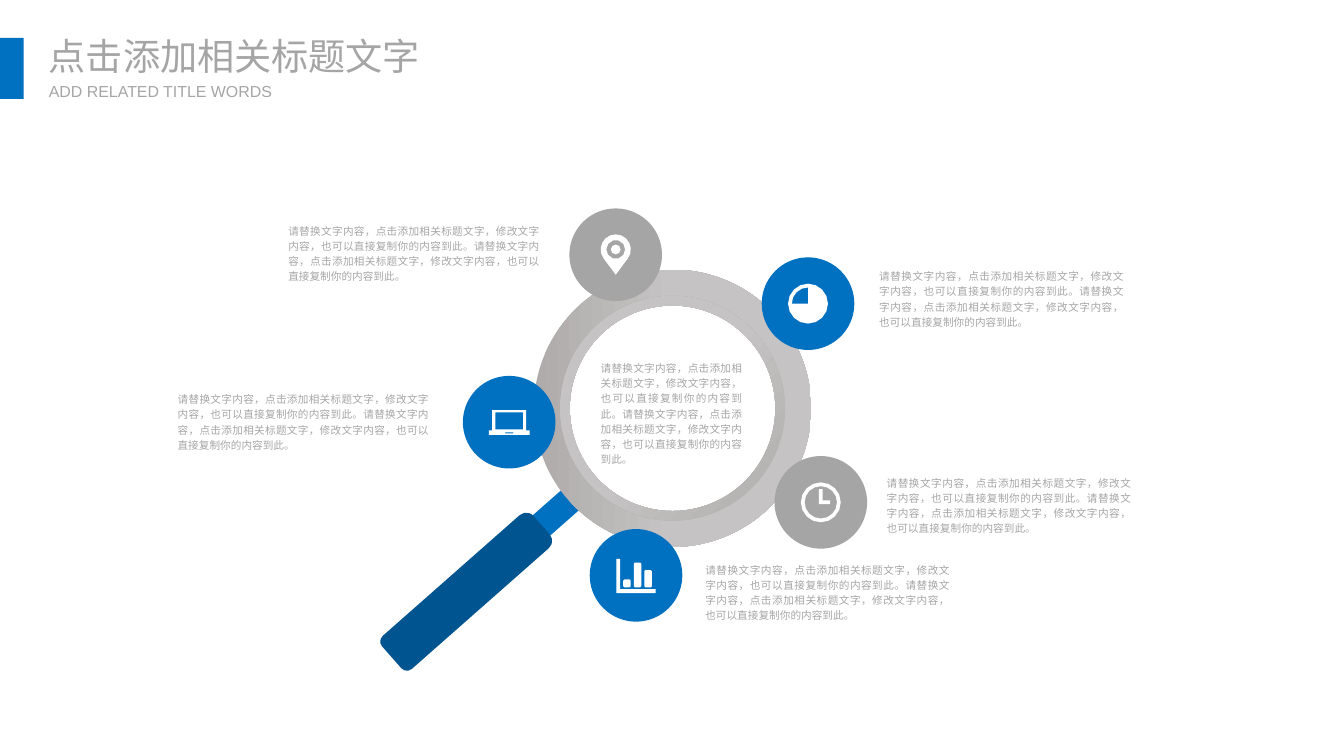
import math
import pptx
import pptx.util
import pptx.dml.color
import pptx.enum.shapes
import pptx.enum.text

Cm = pptx.util.Cm
SHAPE = pptx.enum.shapes.MSO_SHAPE
ALIGN = pptx.enum.text.PP_ALIGN

BLUE, NAVY, GRAY, BODY_GRAY, WHITE = "0070C0", "005490", "A5A5A5", "A6A6A6", "FFFFFF"
RING_DARK, RING_LIGHT = "AFABAB", "C5C3C3"
FONT = "Arial"

HEADINGS = [
    ("点击添加相关标题文字", 28, (1.05, 0.76, 10.52, 1.47)),
    ("ADD RELATED TITLE WORDS", 12, (1.05, 2.05, 6.53, 0.79)),
]
SENTENCE = "请替换文字内容，点击添加相关标题文字，修改文字内容，也可以直接复制你的内容到此。"
DETAIL = SENTENCE * 2

LENS_CENTER = (17.87, 10.85)
RINGS = [(6.38, 0.072, 140), (7.37, 0.093, 0)]
LENS_TEXT = (15.96, 9.55, 3.76, 2.46)
BADGE_SIZE = 2.46


def arc(radius, start=0, end=360, center=(0, 0), step=22.5):
    steps = math.ceil((end - start) / step)
    angles = [math.radians(start + (end - start) * i / steps) for i in range(steps + 1)]
    return [(center[0] + radius * math.cos(a), center[1] + radius * math.sin(a)) for a in angles]


def box(left, top, right, bottom):
    return [(left, top), (right, top), (right, bottom), (left, bottom)]


def softened(corners, cut=0.03):
    outline = []
    for i, corner in enumerate(corners):
        for other in (corners[i - 1], corners[(i + 1) % len(corners)]):
            share = cut / math.dist(corner, other)
            outline.append(tuple(c + (o - c) * share for c, o in zip(corner, other)))
    return outline


PIN_HEAD = (0, -0.14)
AXES = [(-0.52, -0.44), (-0.42, -0.44), (-0.42, 0.37), (0.52, 0.37), (0.52, 0.47), (-0.52, 0.47)]
BAR_TOPS = [0.11, -0.34, -0.14]
HANDS = [(-0.05, -0.35), (0.05, -0.35), (0.05, -0.05), (0.25, -0.05), (0.25, 0.05), (-0.05, 0.05)]
LAPTOP = [(-0.54, 0.22), (-0.45, 0.22), (-0.45, -0.32), (0.45, -0.32),
          (0.45, 0.22), (0.54, 0.22), (0.54, 0.34), (-0.54, 0.34)]

ICONS = {
    "bars": [AXES] + [
        softened(box(-0.34 + 0.28 * i, top, -0.14 + 0.28 * i, 0.32))
        for i, top in enumerate(BAR_TOPS)],
    "pie": [arc(0.53), [(0, 0)] + arc(0.43, 180, 270)],
    "clock": [arc(0.53), arc(0.43), HANDS],
    "pin": [[(0, 0.53)] + arc(0.4, 143, 397, PIN_HEAD),
            arc(0.25, center=PIN_HEAD, step=36), arc(0.13, center=PIN_HEAD, step=45)],
    "laptop": [LAPTOP, box(-0.37, -0.26, 0.37, 0.19), box(-0.11, 0.27, 0.11, 0.3)],
}

BADGES = [
    ("bars", BLUE, (16.9, 15.29), (18.74, 14.91, 6.5, 1.65)),
    ("pie", BLUE, (21.47, 8.07), (23.36, 7.11, 6.5, 1.65)),
    ("clock", GRAY, (21.81, 13.35), (23.56, 12.6, 6.5, 1.65)),
    ("pin", GRAY, (16.36, 6.77), (7.66, 5.9, 6.68, 1.65)),
    ("laptop", BLUE, (13.53, 11.22), (4.72, 10.38, 6.68, 1.65)),
]


def rgb(color):
    return pptx.dml.color.RGBColor.from_string(color)


def paint(shape, color):
    shape.shadow.inherit = False
    shape.fill.solid()
    shape.fill.fore_color.rgb = rgb(color)
    shape.line.fill.background()


def add_centered(preset, center, width, height, rotation=0):
    shape = slide.shapes.add_shape(preset, Cm(center[0] - width / 2), Cm(center[1] - height / 2),
                                   Cm(width), Cm(height))
    shape.rotation = rotation
    return shape


def add_ring(size, thickness, angle):
    ring = add_centered(SHAPE.DONUT, LENS_CENTER, size, size)
    paint(ring, RING_LIGHT)
    ring.adjustments[0] = thickness
    ring.fill.gradient()
    ring.fill.gradient_angle = angle
    for stop, (position, color) in zip(ring.fill.gradient_stops, [(0, RING_DARK), (0.5, RING_LIGHT)]):
        stop.position = position
        stop.color.rgb = rgb(color)


def add_icon(outlines, center):
    placed = [[(Cm(center[0] + x), Cm(center[1] + y)) for x, y in outline] for outline in outlines]
    builder = slide.shapes.build_freeform(*placed[0][0])
    builder.add_line_segments(placed[0][1:], close=True)
    for outline in placed[1:]:
        builder.move_to(*outline[0])
        builder.add_line_segments(outline[1:], close=True)
    paint(builder.convert_to_shape(), WHITE)


def add_text(words, place, size, color, wrap):
    frame = slide.shapes.add_textbox(*map(Cm, place)).text_frame
    frame.word_wrap = wrap
    frame.auto_size = pptx.enum.text.MSO_AUTO_SIZE.SHAPE_TO_FIT_TEXT
    frame.text = words
    paragraph = frame.paragraphs[0]
    font = paragraph.runs[0].font
    font.name, font.size = FONT, pptx.util.Pt(size)
    font.color.rgb = rgb(color)
    return frame, paragraph


def add_detail(place):
    frame, paragraph = add_text(DETAIL, place, 8, BODY_GRAY, True)
    frame.margin_left = frame.margin_right = frame.margin_top = frame.margin_bottom = 0
    paragraph.alignment = ALIGN.JUSTIFY
    paragraph.line_spacing = 1.2
    paragraph._p.get_or_add_pPr().set("hangingPunct", "0")


deck = pptx.Presentation()
deck.slide_width, deck.slide_height = Cm(35.71), Cm(20.09)
slide = deck.slides.add_slide(deck.slide_layouts[6])

neck = add_centered(SHAPE.ROUNDED_RECTANGLE, (13.03, 15.16), 6.43, 0.71, 318.6)
neck.adjustments[0] = 0.5
paint(neck, BLUE)
handle = add_centered(SHAPE.ROUND_2_SAME_RECTANGLE, (12.4, 15.71), 1.17, 5.31, 228.6)
handle.adjustments[0], handle.adjustments[1] = 0.167, 0.22
paint(handle, NAVY)
for ring_values in RINGS:
    add_ring(*ring_values)

for icon, color, center, _ in BADGES:
    paint(add_centered(SHAPE.OVAL, center, BADGE_SIZE, BADGE_SIZE), color)
    add_icon(ICONS[icon], center)

add_detail(LENS_TEXT)
for *_, detail_place in BADGES:
    add_detail(detail_place)

title_mark = slide.shapes.add_shape(SHAPE.RECTANGLE, 0, Cm(1.01), Cm(0.63), Cm(1.62))
paint(title_mark, BLUE)
for words, size, place in HEADINGS:
    add_text(words, place, size, GRAY, False)

deck.save("out.pptx")
